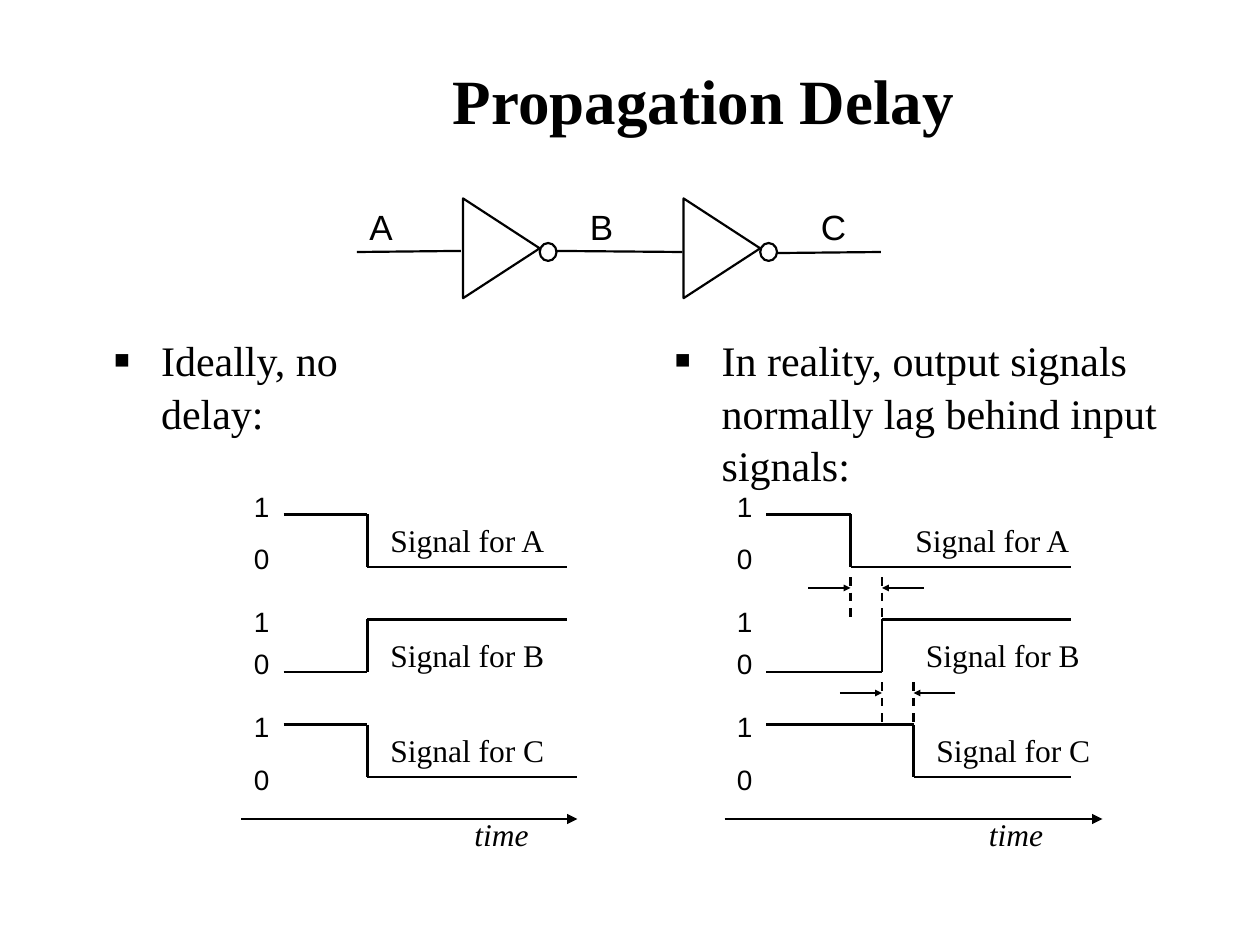
import itertools
from dataclasses import dataclass

import pptx
import pptx.dml.color
import pptx.enum.dml
import pptx.enum.shapes
import pptx.enum.text
import pptx.oxml.ns
import pptx.util
from lxml import etree

SHAPES = pptx.enum.shapes.MSO_SHAPE
ALIGN = pptx.enum.text.PP_ALIGN
ANCHOR = pptx.enum.text.MSO_ANCHOR
COLUMNS, ROWS = 120, 90


@dataclass
class Theme:
    ink: str = "000000"
    serif: str = "Times New Roman"
    sans: str = "Arial"
    title: int = 36
    body: int = 24
    node: int = 20
    signal: int = 18
    level: int = 16
    line: float = 1.25
    body_spacing: float = 1.05


class SlideBuilder:
    """Places elements on a grid of COLUMNS by ROWS."""

    def __init__(self, presentation, theme):
        self.theme = theme
        self.slide = presentation.slides.add_slide(presentation.slide_layouts[6])
        self.column = presentation.slide_width / COLUMNS
        self.row = presentation.slide_height / ROWS
        self.ink = pptx.dml.color.RGBColor.from_string(theme.ink)

    def place(self, *lengths):
        units = itertools.cycle((self.column, self.row))
        return [round(length * unit) for length, unit in zip(lengths, units)]

    def text(self, words, box, size, font, bold=False, italic=False,
             align=ALIGN.LEFT, anchor=ANCHOR.TOP, bullet=None):
        frame = self.slide.shapes.add_textbox(*self.place(*box)).text_frame
        frame.word_wrap = True
        frame.vertical_anchor = anchor
        paragraph = frame.paragraphs[0]
        paragraph.alignment = align
        if bullet:
            self.bullet(paragraph, bullet)
        run = paragraph.add_run()
        run.text = words
        run.font.name, run.font.size = font, pptx.util.Pt(size)
        run.font.bold, run.font.italic = bold, italic
        run.font.color.rgb = self.ink

    def bullet(self, paragraph, symbol):
        paragraph.line_spacing = self.theme.body_spacing
        properties = paragraph._p.get_or_add_pPr()
        indent = pptx.util.Inches(0.38)
        properties.set("marL", str(indent))
        properties.set("indent", str(-indent))
        qn = pptx.oxml.ns.qn
        color = etree.SubElement(properties, qn("a:buClr"))
        etree.SubElement(color, qn("a:srgbClr"), val=self.theme.ink)
        etree.SubElement(properties, qn("a:buSzPct"), val="120000")
        etree.SubElement(properties, qn("a:buFont"), typeface=self.theme.serif)
        etree.SubElement(properties, qn("a:buChar"), char=symbol)

    def outline(self, kind, box, rotation=0):
        shape = self.slide.shapes.add_shape(kind, *self.place(*box))
        shape.rotation = rotation
        shape.shadow.inherit = False
        shape.fill.background()
        shape.line.color.rgb = self.ink
        shape.line.width = pptx.util.Pt(self.theme.line)

    def line(self, start, end, dashed=False, arrow=None):
        straight = pptx.enum.shapes.MSO_CONNECTOR.STRAIGHT
        connector = self.slide.shapes.add_connector(straight, *self.place(*start, *end))
        connector.line.color.rgb = self.ink
        connector.line.width = pptx.util.Pt(self.theme.line)
        if dashed:
            connector.line.dash_style = pptx.enum.dml.MSO_LINE.DASH
        qn = pptx.oxml.ns.qn
        properties = connector._element.spPr
        if arrow:
            etree.SubElement(properties.find(qn("a:ln")), qn("a:tailEnd"),
                             type="triangle", w=arrow, len=arrow)
        etree.SubElement(properties, qn("a:effectLst"))

    def inverter(self, left):
        self.outline(SHAPES.FLOWCHART_MERGE, (left, 20, 9.5, 7.3), rotation=270)
        self.outline(SHAPES.OVAL, (left + 8.4, 23.15, 1.6, 1.7))

    def signal(self, points):
        for start, end in itertools.pairwise(points):
            self.line(start, end)

    def delay(self, first, second, top):
        for column in (first, second):
            self.line((column, top), (column, top + 4), dashed=True)
        for column, tail in ((first, first - 4), (second, second + 4)):
            self.line((tail, top + 1), (column, top + 1), arrow="sm")

    def timing_diagram(self, left, edges, ends, labels, axis_end, time_label):
        theme = self.theme
        # Rows: high level, low level, caption of 1, caption of 0, signal name
        rows = ((49, 54, 46, 51, 49), (59, 64, 57, 61, 60), (69, 74, 67, 72, 69))
        for name, edge, end, label, row in zip("ABC", edges, ends, labels, rows):
            high, low, one, zero, label_row = row
            before, after = (low, high) if name == "B" else (high, low)
            self.signal([(left + 4, before), (edge, before), (edge, after), (end, after)])
            for digit, top in (("1", one), ("0", zero)):
                self.text(digit, (left, top, 3.2, 4.4), theme.level, theme.sans)
            self.text(f"Signal for {name}", (label, label_row, 20, 4.8),
                      theme.signal, theme.serif)
        self.line((left, 78), (axis_end, 78), arrow="med")
        self.text("time", (time_label, 77, 9, 4.8), theme.signal, theme.serif, italic=True)


def main():
    presentation = pptx.Presentation()
    presentation.slide_width = pptx.util.Inches(10)
    presentation.slide_height = pptx.util.Inches(7.5)
    theme = Theme()
    builder = SlideBuilder(presentation, theme)

    # Title
    builder.text("Propagation Delay", (16, 2, 102, 15), theme.title, theme.serif,
                 bold=True, align=ALIGN.CENTER, anchor=ANCHOR.MIDDLE)

    # Circuit: two inverters in a row
    for left in (43, 64):
        builder.inverter(left)
    for start, end in (((34, 24), (43.9, 23.9)),
                       ((52.9, 23.9), (65, 24)),
                       ((74, 24.1), (83.9, 24))):
        builder.line(start, end)
    for name, left in (("A", 34), ("B", 55), ("C", 77)):
        builder.text(name, (left, 19, 6, 5.3), theme.node, theme.sans)

    # Statements above the two diagrams
    for words, box in (
        ("Ideally, no delay:", (9.6, 31, 28, 11)),
        ("In reality, output signals normally lag behind input signals:", (63, 31, 49, 16)),
    ):
        builder.text(words, box, theme.body, theme.serif, bullet="▪")

    # Ideal timing
    builder.timing_diagram(left=23, edges=(35, 35, 35), ends=(54, 54, 55),
                           labels=(36, 36, 36), axis_end=55, time_label=44)

    # Real timing, with the lag between signals
    edges = (81, 84, 87)
    builder.timing_diagram(left=69, edges=edges, ends=(102, 102, 102),
                           labels=(86, 87, 88), axis_end=105, time_label=93)
    for (first, second), top in zip(itertools.pairwise(edges), (55, 65)):
        builder.delay(first, second, top)

    presentation.save("out.pptx")


if __name__ == "__main__":
    main()
